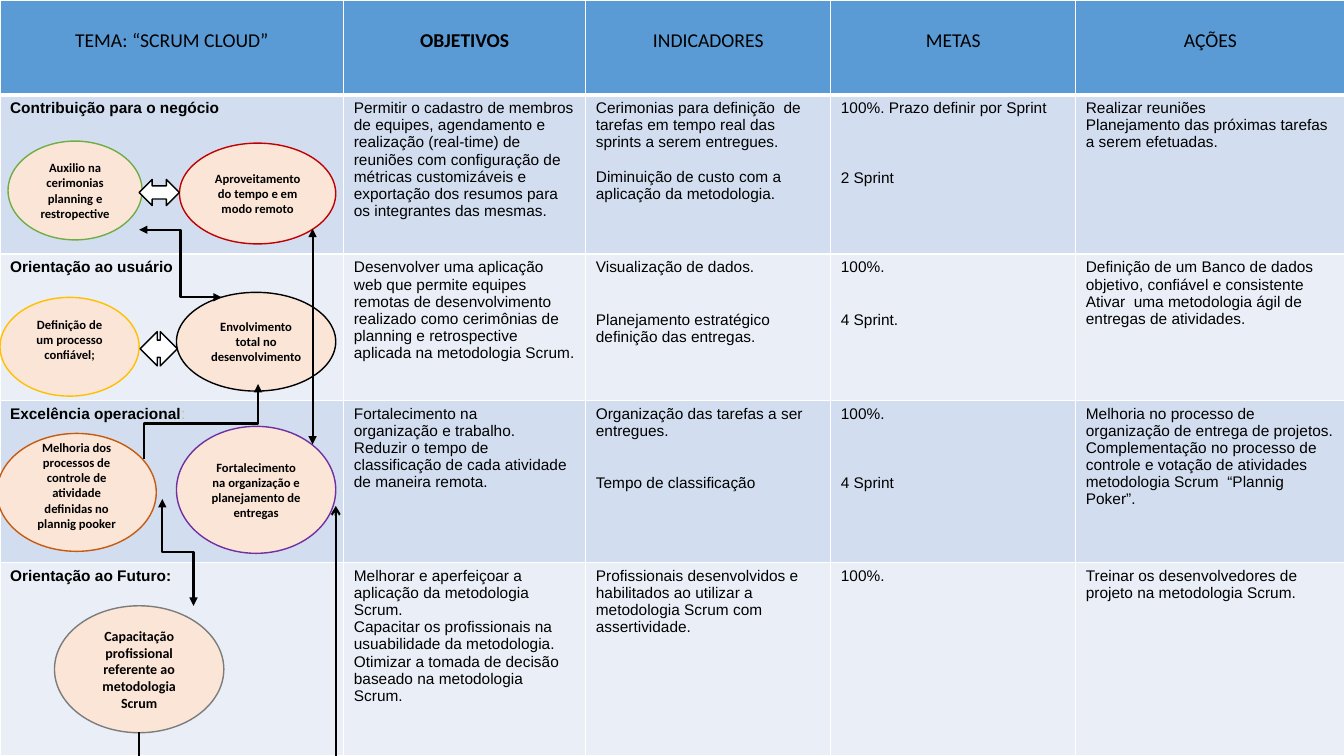
from pptx import Presentation
from pptx.dml.color import RGBColor
from pptx.enum.shapes import MSO_CONNECTOR, MSO_SHAPE
from pptx.enum.text import MSO_ANCHOR, PP_ALIGN
from pptx.oxml.ns import qn
from pptx.util import Inches, Pt
from lxml.etree import SubElement

BLACK = RGBColor(0x00, 0x00, 0x00)
WHITE = RGBColor(0xFF, 0xFF, 0xFF)
HEADER_BLUE = RGBColor(0x5B, 0x9B, 0xD5)
BAND_DARK = RGBColor(0xD2, 0xDE, 0xEF)
BAND_LIGHT = RGBColor(0xEA, 0xEF, 0xF7)
PEACH = RGBColor(0xFB, 0xE5, 0xD6)
PALE_GREEN = RGBColor(0xA9, 0xD1, 0x8E)
GREEN = RGBColor(0x70, 0xAD, 0x47)
RED = RGBColor(0xC0, 0x00, 0x00)
YELLOW = RGBColor(0xFF, 0xC0, 0x00)
ORANGE = RGBColor(0xC5, 0x5A, 0x11)
PURPLE = RGBColor(0x70, 0x30, 0xA0)
GRAY = RGBColor(0x7C, 0x7C, 0x7C)

COLUMN_WIDTHS = [3.41, 2.4, 2.43, 2.43, 2.67]
ROW_HEIGHTS = [0.94, 1.58, 1.45, 1.61, 1.92]
BODY_LINE = 12.5  # height of one 11 pt line, in points

# An empty line in a cell becomes spacing above the next paragraph
ROWS = [
    ["TEMA: “SCRUM CLOUD”", "OBJETIVOS", "INDICADORES", "METAS", "AÇÕES"],
    ["Contribuição para o negócio",
     "Permitir o cadastro de membros de equipes, agendamento e realização (real-time) de "
     "reuniões com configuração de métricas customizáveis e exportação dos resumos para "
     "os integrantes das mesmas.",
     "Cerimonias para definição  de tarefas em tempo real das sprints a serem entregues.\n\n"
     "Diminuição de custo com a aplicação da metodologia.",
     "100%. Prazo definir por Sprint\n\n\n\n2 Sprint",
     "Realizar reuniões\nPlanejamento das próximas tarefas a serem efetuadas."],
    ["Orientação ao usuário",
     "Desenvolver uma aplicação web que permite equipes remotas de desenvolvimento "
     "realizado como cerimônias de planning e retrospective aplicada na metodologia Scrum.",
     "Visualização de dados.\n\n\nPlanejamento estratégico definição das entregas.",
     "100%.\n\n\n4 Sprint.",
     "Definição de um Banco de dados objetivo, confiável e consistente\n"
     "Ativar  uma metodologia ágil de entregas de atividades."],
    ["Excelência operacional",
     "Fortalecimento na\norganização e trabalho.\n"
     "Reduzir o tempo de classificação de cada atividade\nde maneira remota.",
     "Organização das tarefas a ser entregues.\n\n\nTempo de classificação",
     "100%.\n\n\n\n4 Sprint",
     "Melhoria no processo de organização de entrega de projetos.\n"
     "Complementação no processo de controle e votação de atividades  metodologia Scrum  "
     "“Plannig Poker”."],
    ["Orientação ao Futuro:",
     "Melhorar e aperfeiçoar a aplicação da metodologia Scrum.\n"
     "Capacitar os profissionais na usuabilidade da metodologia.\n"
     "Otimizar a tomada de decisão baseado na metodologia Scrum.",
     "Profissionais desenvolvidos e habilitados ao utilizar a metodologia Scrum com "
     "assertividade.",
     "100%.",
     "Treinar os desenvolvedores de projeto na metodologia Scrum."],
]

# left, top, width, height, outline, text size, upward shift, text
GOALS = [
    (0.08, 1.4, 1.33, 0.98, GREEN, 9, 0, "Auxilio na cerimonias planning e restropective"),
    (1.78, 1.42, 1.55, 1, RED, 9, 0, "Aproveitamento do tempo e em modo remoto"),
    (0, 2.95, 1.38, 0.98, YELLOW, 9, 0.07, "Definição de um processo confiável;"),
    (1.75, 2.9, 1.58, 0.98, BLACK, 9, 0, "Envolvimento total no desenvolvimento"),
    (-0.03, 4.3, 1.58, 1.17, ORANGE, 9, 0.07,
     "Melhoria dos processos de controle de atividade definidas no plannig pooker"),
    (1.75, 4.23, 1.58, 1.26, PURPLE, 9, 0,
     "Fortalecimento na organização e planejamento de entregas"),
    (0.54, 6.01, 1.68, 1.26, GRAY, 10, 0,
     "Capacitação profissional referente ao metodologia Scrum"),
]


class StrategyMap:
    def __init__(self, page):
        self.page = page

    def style_text(self, paragraph, font, size, bold, color=BLACK):
        for span in paragraph.runs:
            span.font.name = font
            span.font.size = Pt(size)
            span.font.bold = bold
            span.font.color.rgb = color

    def border(self, cell, side, width):
        line = SubElement(cell._tc.get_or_add_tcPr(), qn(f"a:{side}"), w=str(Pt(width)))
        fill = SubElement(line, qn("a:solidFill"))
        SubElement(fill, qn("a:srgbClr"), val=str(WHITE))

    def fill_cell(self, cell, text, header, bold, color):
        for side in ("lnL", "lnR", "lnT", "lnB"):
            self.border(cell, side, 3 if header and side == "lnB" else 1)
        cell.fill.solid()
        cell.fill.fore_color.rgb = color
        if header:
            cell.margin_top = Inches(0.29)
        frame = cell.text_frame
        gap = 0
        for index, line in enumerate(text.split("\n")):
            if not line:
                gap += 1
                continue
            paragraph = frame.add_paragraph() if index else frame.paragraphs[0]
            paragraph.text = line
            paragraph.space_before = Pt(gap * BODY_LINE)
            paragraph.alignment = PP_ALIGN.CENTER if header else PP_ALIGN.LEFT
            self.style_text(paragraph, "Calibri" if header else "Arial",
                            14 if header else 11, bold)
            gap = 0

    def table(self, rows):
        table = self.page.shapes.add_table(
            len(rows), len(rows[0]), 0, 0,
            Inches(sum(COLUMN_WIDTHS)), Inches(sum(ROW_HEIGHTS))).table
        table.first_row = table.horz_banding = False
        for column, width in zip(table.columns, COLUMN_WIDTHS):
            column.width = Inches(width)
        for r, texts in enumerate(rows):
            table.rows[r].height = Inches(ROW_HEIGHTS[r])
            color = HEADER_BLUE if r == 0 else (BAND_LIGHT, BAND_DARK)[r % 2]
            for c, text in enumerate(texts):
                bold = c == (1 if r == 0 else 0)
                self.fill_cell(table.cell(r, c), text, r == 0, bold, color)
        return table

    def shape(self, kind, left, top, width, height, fill, outline):
        shape = self.page.shapes.add_shape(
            kind, Inches(left), Inches(top), Inches(width), Inches(height))
        shape.shadow.inherit = False
        shape.fill.solid()
        shape.fill.fore_color.rgb = fill
        shape.line.color.rgb = outline
        shape.line.width = Pt(1)
        return shape

    def goal(self, left, top, width, height, outline, size, shift, text):
        oval = self.shape(MSO_SHAPE.OVAL, left, top, width, height, PEACH, outline)
        frame = oval.text_frame
        frame.word_wrap = True
        frame.vertical_anchor = MSO_ANCHOR.MIDDLE
        frame.margin_bottom = Inches(0.05 + 2 * shift)
        frame.text = text
        frame.paragraphs[0].alignment = PP_ALIGN.CENTER
        self.style_text(frame.paragraphs[0], "Calibri", size, True)

    def double_arrow(self, left, top, width, height):
        self.shape(MSO_SHAPE.LEFT_RIGHT_ARROW, left, top, width, height, WHITE, BLACK)

    def arrow(self, begin, end, kind=MSO_CONNECTOR.STRAIGHT, head=None, tail="triangle"):
        line = self.page.shapes.add_connector(kind, *map(Inches, begin + end))
        line.line.color.rgb = BLACK
        line.line.width = Pt(1.5)
        properties = line._element.spPr
        for tag, style in (("a:headEnd", head), ("a:tailEnd", tail)):
            if style:
                SubElement(properties.find(qn("a:ln")), qn(tag), type=style)
        SubElement(properties, qn("a:effectLst"))
        return line

    def upright_elbow(self, begin, end, bend=0.5, **ends):
        """Elbow that leaves vertically: a level elbow turned by 90 degrees."""
        (x1, y1), (x2, y2) = begin, end
        x, y = (x1 + x2) / 2, (y1 + y2) / 2
        run, rise = (y2 - y1) / 2, (x2 - x1) / 2
        line = self.arrow((x - run, y + rise), (x + run, y - rise),
                          MSO_CONNECTOR.ELBOW, **ends)
        properties = line._element.spPr
        properties.find(qn("a:xfrm")).set("rot", "5400000")
        guides = properties.find(qn("a:prstGeom")).find(qn("a:avLst"))
        SubElement(guides, qn("a:gd"), name="adj1", fmla=f"val {round(bend * 100000)}")


deck = Presentation()
deck.slide_width, deck.slide_height = Inches(13.33), Inches(7.5)
strategy = StrategyMap(deck.slides.add_slide(deck.slide_layouts[6]))

# Table, with the pale colon after the third perspective
table = strategy.table(ROWS)
colon = table.cell(3, 0).text_frame.paragraphs[0].add_run()
colon.text = ":"
colon.font.name, colon.font.size, colon.font.bold = "Arial", Pt(11), False
colon.font.color.rgb = PALE_GREEN

# Goals
for goal in GOALS:
    strategy.goal(*goal)

# Links between the goals
strategy.upright_elbow((1.38, 7.26), (3.33, 5.02), -0.11, tail="arrow")
strategy.upright_elbow((1.92, 6.01), (1.61, 4.95), head="triangle")
strategy.upright_elbow((1.43, 4.55), (2.56, 3.81), 0.47)
strategy.double_arrow(1.39, 3.29, 0.37, 0.34)
strategy.arrow((2.2, 2.95), (1.38, 2.28), MSO_CONNECTOR.ELBOW, head="triangle")
strategy.arrow((3.1, 4.41), (3.1, 2.27), head="triangle")
strategy.double_arrow(1.38, 1.78, 0.4, 0.26)

deck.save("out.pptx")
